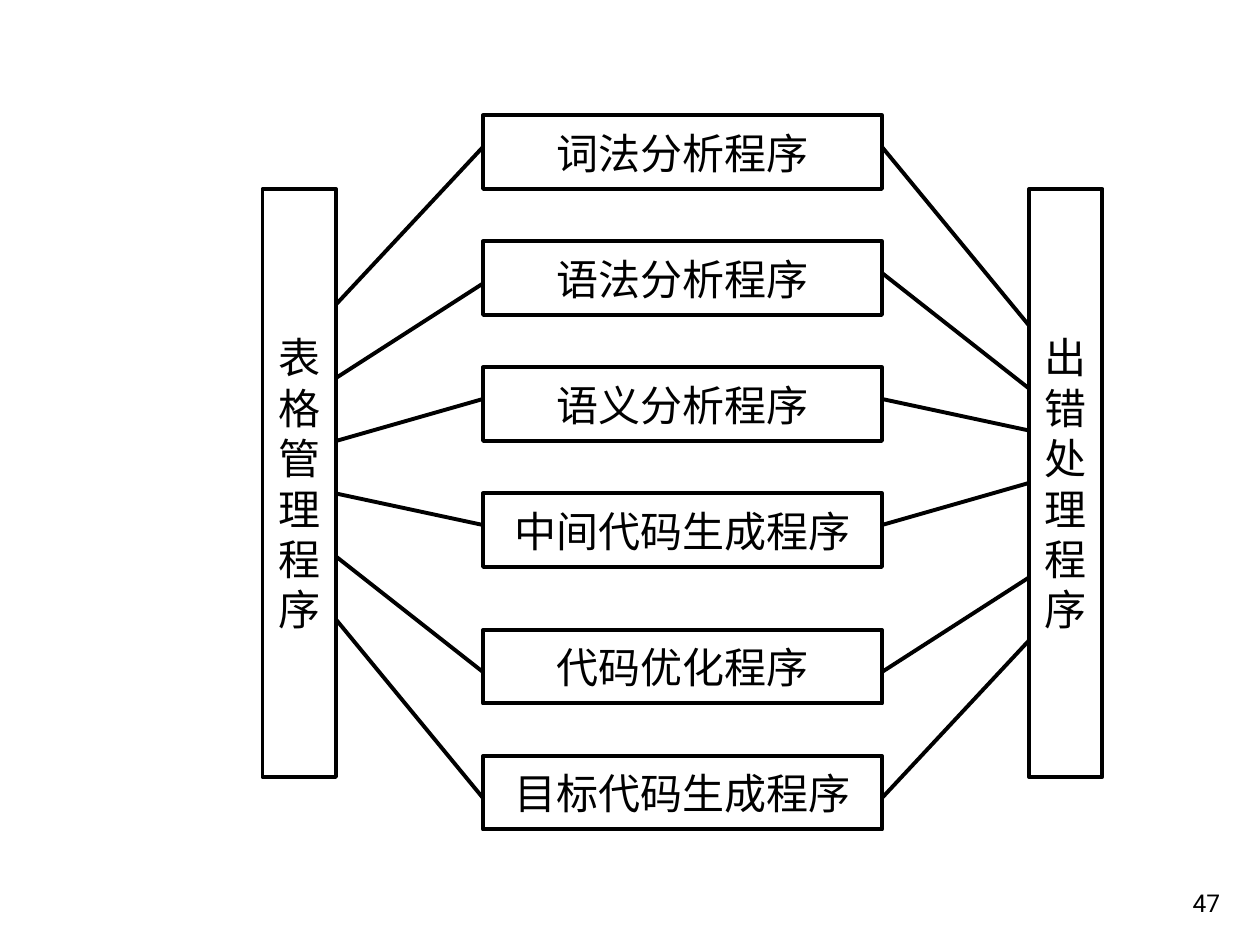
"""Build the slide that links six compiler phases to two shared managers."""
from dataclasses import dataclass

from lxml import etree
from pptx import Presentation
from pptx import util as u
from pptx.dml.color import RGBColor
from pptx.enum import shapes, text
from pptx.oxml.ns import qn


@dataclass(frozen=True)
class Theme:
    """Colours, fonts and sizes of the slide."""
    ink: RGBColor = RGBColor(0, 0, 0)
    paper: RGBColor = RGBColor(255, 255, 255)
    han: str = "Noto Sans CJK JP"
    latin: str = "Roboto"
    body: int = 24
    small: int = 14
    rule: float = 2.25


class Deck:
    """Hold the style and the current slide."""
    SCALE = u.Inches(1) // 120

    def __init__(self, theme):
        """Start a deck with one blank slide."""
        self.theme = theme
        self.file = Presentation()
        self.file.slide_width = self.px(1200)
        self.file.slide_height = self.px(900)
        self.slide = self.file.slides.add_slide(self.file.slide_layouts[6])

    def px(self, size):
        """Turn px into EMU."""
        return u.Emu(size * self.SCALE)

    def fill(self, frame, lines, font, size, align):
        """Add one paragraph per line."""
        for i, line in enumerate(lines):
            para = frame.paragraphs[0] if i == 0 else frame.add_paragraph()
            para.alignment = align
            run = para.add_run()
            run.text = line
            run.font.name = font
            run.font.size = u.Pt(size)
            run.font.color.rgb = self.theme.ink
            east = etree.SubElement(run.font._element, qn("a:ea"))
            east.set("typeface", font)

    def box(self, x, y, w, h, lines):
        """Draw an outlined box with centred text."""
        shape = self.slide.shapes.add_shape(
            shapes.MSO_SHAPE.RECTANGLE, *map(self.px, (x, y, w, h)))
        shape.shadow.inherit = False
        shape.fill.solid()
        shape.fill.fore_color.rgb = self.theme.paper
        shape.line.color.rgb = self.theme.ink
        shape.line.width = u.Pt(self.theme.rule)
        frame = shape.text_frame
        frame.word_wrap = False
        frame.vertical_anchor = text.MSO_ANCHOR.MIDDLE
        self.fill(frame, lines, self.theme.han, self.theme.body,
                  text.PP_ALIGN.CENTER)

    def link(self, x1, y1, x2, y2):
        """Draw a straight line."""
        line = self.slide.shapes.add_connector(
            shapes.MSO_CONNECTOR.STRAIGHT, *map(self.px, (x1, y1, x2, y2)))
        line.line.color.rgb = self.theme.ink
        line.line.width = u.Pt(self.theme.rule)
        etree.SubElement(line._element.spPr, qn("a:effectLst"))

    def number(self, x, y, w, h, label):
        """Add the page number."""
        frame = self.slide.shapes.add_textbox(
            *map(self.px, (x, y, w, h))).text_frame
        frame.word_wrap = True
        frame.vertical_anchor = text.MSO_ANCHOR.BOTTOM
        self.fill(frame, [label], self.theme.latin, self.theme.small,
                  text.PP_ALIGN.RIGHT)


THICK = 70
TABLE_X, PHASE_X, ERROR_X = 250, 460, 980
PHASE_W = 380
BAR_Y, BAR_H = 180, 560

PHASES = [
    ("词法分析程序", 110, (290, 140), (140, 310)),
    ("语法分析程序", 230, (360, 270), (260, 370)),
    ("语义分析程序", 350, (420, 380), (380, 410)),
    ("中间代码生成程序", 470, (470, 500), (500, 460)),
    ("代码优化程序", 600, (530, 640), (640, 550)),
    ("目标代码生成程序", 720, (590, 760), (760, 610)),
]


def main():
    """Build and save the slide."""
    deck = Deck(Theme())
    for x, name in ((TABLE_X, "表格管理程序"), (ERROR_X, "出错处理程序")):
        deck.box(x, BAR_Y, THICK, BAR_H, name)
    for name, top, left, right in PHASES:
        deck.box(PHASE_X, top, PHASE_W, THICK, [name])
        deck.link(TABLE_X + THICK, left[0], PHASE_X, left[1])
        deck.link(PHASE_X + PHASE_W, right[0], ERROR_X, right[1])
    deck.number(924, 820, 250, 60, "47")
    deck.file.save("out.pptx")


if __name__ == "__main__":
    main()
